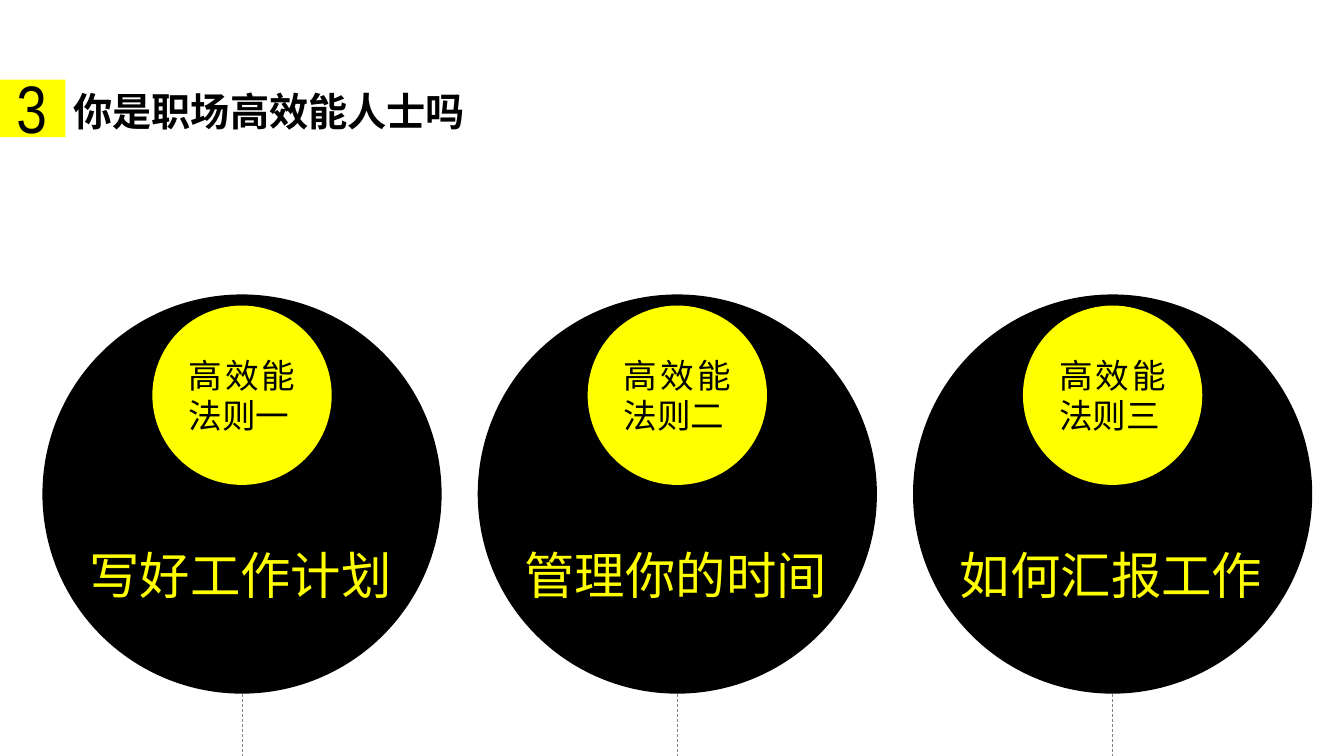
from lxml import etree
from pptx import Presentation
from pptx.dml.color import RGBColor
from pptx.enum import dml, shapes, text
from pptx.oxml.ns import qn
from pptx.util import Cm, Pt

# Content
NUMBER = "3"
TITLE = "你是职场高效能人士吗"
RULES = [
    ("高效能法则一", "写好工作计划"),
    ("高效能法则二", "管理你的时间"),
    ("高效能法则三", "如何汇报工作"),
]

# Style
BLACK = RGBColor(0, 0, 0)
YELLOW = RGBColor(0xFF, 0xFF, 0)
GRAY = RGBColor(0x80, 0x80, 0x80)
CJK = "Noto Sans CJK SC"
ALIGN, ANCHOR = text.PP_ALIGN, text.MSO_ANCHOR

# Layout, in centimetres
SLIDE_W, SLIDE_H = 33.87, 19.05
FIRST_CENTER, PITCH = 6.1, 10.97
DISC_TOP, DISC_SIZE = 7.42, 10.06
BADGE_TOP, BADGE_SIZE = 7.7, 4.52
LABEL_TOP, LABEL_W, LABEL_H = 13.59, 8.2, 1.8


def place(sp, left, top, width, height):
    sp.left, sp.top, sp.width, sp.height = Cm(left), Cm(top), Cm(width), Cm(height)


def write(sp, words, size, color, align, font=CJK, bold=False):
    tf = sp.text_frame
    tf.text = words
    p = tf.paragraphs[0]
    p.alignment = align
    p.font.size, p.font.bold, p.font.name = Pt(size), bold, font
    p.font.color.rgb = color
    # East Asian typeface beside the Latin one
    latin = p._p.pPr.find(qn("a:defRPr")).find(qn("a:latin"))
    ea = etree.Element(qn("a:ea"), typeface=font)
    latin.addnext(ea)
    return tf, p


def add_filled(parent, kind, left, top, width, height, color):
    sp = parent.add_shape(kind, Cm(left), Cm(top), Cm(width), Cm(height))
    sp.shadow.inherit = False
    sp.fill.solid()
    sp.fill.fore_color.rgb = color
    sp.line.fill.background()
    return sp


def add_drop_line(parent, x):
    line = parent.add_connector(shapes.MSO_CONNECTOR.STRAIGHT, Cm(x),
                                Cm(DISC_TOP + DISC_SIZE / 2), Cm(x), Cm(SLIDE_H))
    line.line.color.rgb = GRAY
    line.line.width = Pt(0.5)
    line.line.dash_style = dml.MSO_LINE.DASH
    etree.SubElement(line._element.spPr, qn("a:effectLst"))


def add_rule(parent, x, badge_text, label_text):
    oval = shapes.MSO_SHAPE.OVAL
    group = parent.add_group_shape().shapes
    add_filled(group, oval, x - DISC_SIZE / 2, DISC_TOP, DISC_SIZE, DISC_SIZE, BLACK)
    badge = add_filled(group, oval, x - BADGE_SIZE / 2, BADGE_TOP,
                       BADGE_SIZE, BADGE_SIZE, YELLOW)
    tf, _ = write(badge, badge_text, 24, BLACK, ALIGN.JUSTIFY)
    tf.word_wrap, tf.vertical_anchor = True, ANCHOR.MIDDLE
    label = group.add_textbox(Cm(x - LABEL_W / 2), Cm(LABEL_TOP), Cm(LABEL_W), Cm(LABEL_H))
    tf, _ = write(label, label_text, 36, YELLOW, ALIGN.JUSTIFY)
    tf.word_wrap, tf.auto_size = False, text.MSO_AUTO_SIZE.SHAPE_TO_FIT_TEXT


def main():
    prs = Presentation()
    prs.slide_width, prs.slide_height = Cm(SLIDE_W), Cm(SLIDE_H)
    slide = prs.slides.add_slide(prs.slide_layouts[1])
    title, number = slide.placeholders

    # Heading: yellow tab behind the number, then the title
    tab = add_filled(slide.shapes, shapes.MSO_SHAPE.RECTANGLE, 0, 2.01, 1.65, 1.45, YELLOW)
    title._element.addprevious(tab._element)
    place(title, 1.6, 2.13, 30.96, 1.45)
    place(number, 0, 1.78, 1.6, 1.45)
    headings = [
        (write(title, TITLE, 28, BLACK, ALIGN.LEFT, bold=True), ANCHOR.MIDDLE),
        (write(number, NUMBER, 48, BLACK, ALIGN.CENTER, "Arial Narrow"), ANCHOR.TOP),
    ]
    for (tf, p), anchor in headings:
        tf.vertical_anchor, tf.auto_size = anchor, text.MSO_AUTO_SIZE.NONE
        p.line_spacing, p.space_before = 0.9, Pt(0)
    p_pr = number.text_frame.paragraphs[0]._p.pPr
    p_pr.set("marL", "0")
    p_pr.set("indent", "0")
    p_pr.find(qn("a:defRPr")).addprevious(etree.Element(qn("a:buNone")))

    # Dashed lines first, so the discs cover their upper ends
    centers = [FIRST_CENTER + i * PITCH for i in range(len(RULES))]
    for x in centers:
        add_drop_line(slide.shapes, x)
    for x, (badge_text, label_text) in zip(centers, RULES):
        add_rule(slide.shapes, x, badge_text, label_text)

    prs.save("out.pptx")


if __name__ == "__main__":
    main()
